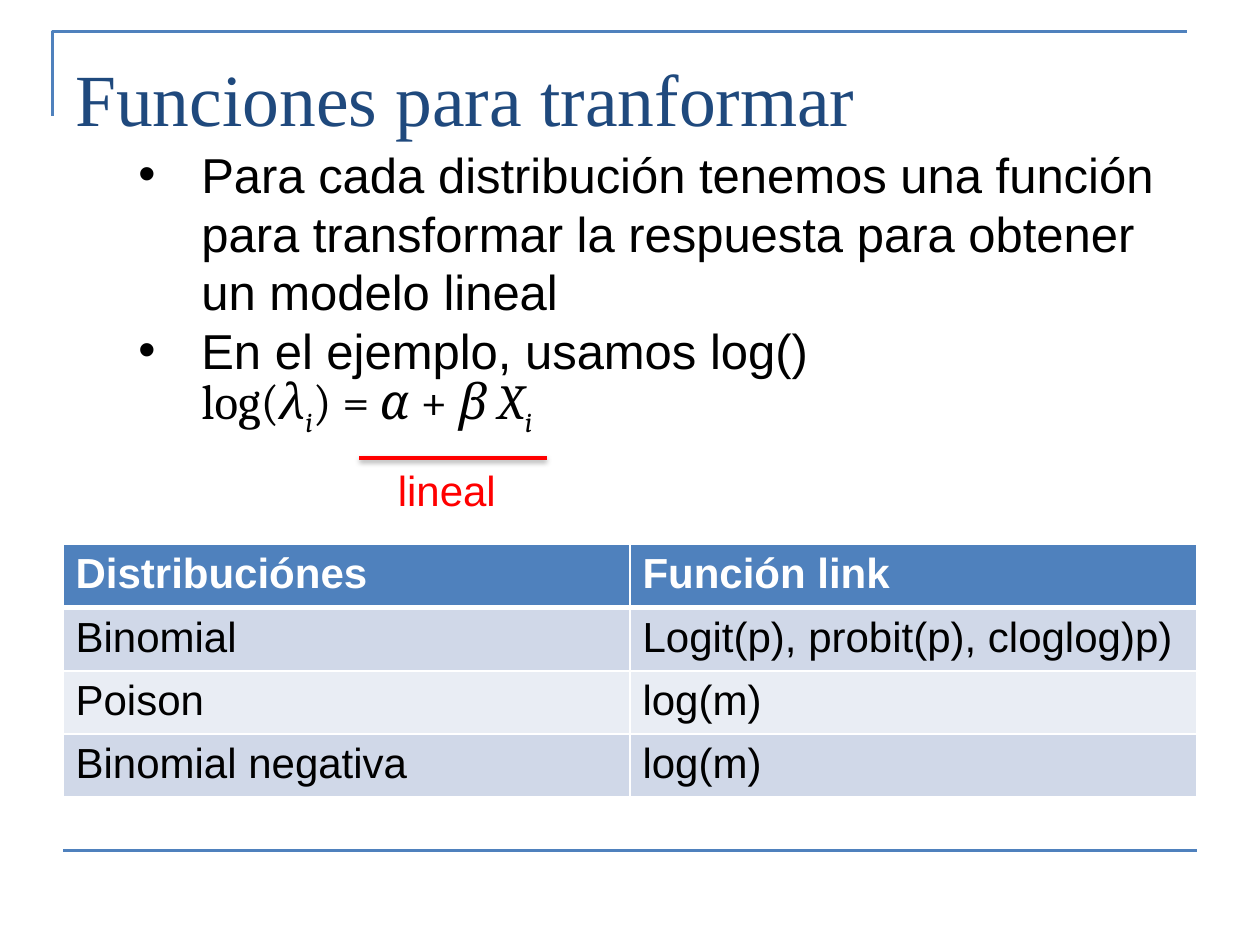
import pptx
import pptx.dml.color
import pptx.enum.shapes
import pptx.enum.text
import pptx.oxml
import pptx.oxml.ns
import pptx.util

Cm = pptx.util.Cm
Pt = pptx.util.Pt
RGBColor = pptx.dml.color.RGBColor

BLUE = RGBColor(0x4F, 0x81, 0xBD)
NAVY = RGBColor(0x1F, 0x49, 0x7D)
RED = RGBColor(0xFF, 0x00, 0x00)
BLACK = RGBColor(0x00, 0x00, 0x00)
WHITE = RGBColor(0xFF, 0xFF, 0xFF)
BAND_DARK = RGBColor(0xD0, 0xD8, 0xE8)
BAND_LIGHT = RGBColor(0xE9, 0xED, 0xF4)

BULLETS = [
    "Para cada distribución tenemos una función para transformar "
    "la respuesta para obtener un modelo lineal",
    "En el ejemplo, usamos log()",
]
FORMULA = [
    ("log(", {}),
    ("λ", {"italic": True}),
    ("i", {"italic": True, "subscript": True}),
    (") =", {}),
    (" α", {"italic": True}),
    (" + ", {}),
    ("β X", {"italic": True}),
    ("i", {"italic": True, "subscript": True}),
]
LINKS = [
    ("Distribuciónes", "Función link"),
    ("Binomial", "Logit(p), probit(p), cloglog)p)"),
    ("Poison", "log(m)"),
    ("Binomial negativa", "log(m)"),
]


def element(xml):
    """Return a DrawingML element parsed from a short fragment."""
    head, mark, rest = xml.partition("/>" if xml.endswith("/>") and xml.count("<") == 1 else ">")
    return pptx.oxml.parse_xml(f"{head} {pptx.oxml.ns.nsdecls('a')}{mark}{rest}")


def write(paragraph, text, size=24, font="Arial", color=BLACK, bold=False,
          italic=False, subscript=False):
    """Add a formatted run to a paragraph."""
    run = paragraph.add_run()
    run.text = text
    run.font.size = Pt(size)
    run.font.name = font
    run.font.color.rgb = color
    run.font.bold = bold
    run.font.italic = italic
    if subscript:
        run.font._element.set("baseline", "-25000")


def add_frame(slide, left, top, width, height, wrap=True):
    """Add a text box and return its text frame."""
    frame = slide.shapes.add_textbox(Cm(left), Cm(top), Cm(width), Cm(height)).text_frame
    frame.word_wrap = wrap
    frame.vertical_anchor = pptx.enum.text.MSO_ANCHOR.TOP
    return frame


def add_rule(slide, left, top, width, color, weight, effects="<a:effectLst/>"):
    """Draw a horizontal line."""
    rule = slide.shapes.add_connector(
        pptx.enum.shapes.MSO_CONNECTOR.STRAIGHT, Cm(left), Cm(top), Cm(left + width), Cm(top))
    rule.line.color.rgb = color
    rule.line.width = Pt(weight)
    rule._element.spPr.append(element(effects))


def add_corner(slide, left, top, width, height):
    """Draw the open corner around the title."""
    builder = slide.shapes.build_freeform(Cm(left), Cm(top + height))
    builder.add_line_segments(
        [(Cm(left), Cm(top)), (Cm(left + width), Cm(top))], close=False)
    corner = builder.convert_to_shape()
    corner.shadow.inherit = False
    corner.fill.background()
    corner.line.color.rgb = BLUE
    corner.line.width = Pt(1.5)


def add_title(slide, left, top, width, height):
    """Write the slide title."""
    frame = add_frame(slide, left, top, width, height)
    frame.margin_top = Cm(0.3)
    write(frame.paragraphs[0], "Funciones para tranformar",
          size=42, font="Times New Roman", color=NAVY)


def add_explanation(slide, left, top, width, height):
    """Write the bullets and the formula below them."""
    frame = add_frame(slide, left, top, width, height)
    lines = [[(bullet, {})] for bullet in BULLETS] + [FORMULA]
    for index, runs in enumerate(lines):
        paragraph = frame.add_paragraph() if index else frame.paragraphs[0]
        paragraph.line_spacing = Pt(33.5)
        properties = paragraph._p.get_or_add_pPr()
        is_formula = runs is FORMULA
        properties.set("marL", str(Cm(2.54)))
        properties.set("indent", str(0 if is_formula else -Cm(1.27)))
        if not is_formula:
            properties.append(element('<a:buFont typeface="Arial"/>'))
            properties.append(element('<a:buChar char="•"/>'))
        for text, style in runs:
            write(paragraph, text, size=28,
                  font="Cambria" if is_formula else "Arial", **style)


def add_linear_mark(slide, left, top, width):
    """Underline the linear part of the formula and label it."""
    frame = add_frame(slide, left + 0.53, top, 2.51, 1.27, wrap=False)
    write(frame.paragraphs[0], "lineal", color=RED)
    shadow = (f'<a:effectLst><a:outerShdw blurRad="{Pt(3.1)}" dist="{Pt(1.6)}" dir="5400000">'
              '<a:srgbClr val="000000"><a:alpha val="38000"/></a:srgbClr>'
              '</a:outerShdw></a:effectLst>')
    add_rule(slide, left, top, width, RED, 2, shadow)


def set_borders(cell, **weights):
    """Give a cell white borders of the given weights."""
    properties = cell._tc.get_or_add_tcPr()
    for index, side in enumerate("LRTB"):
        properties.insert(index, element(
            f'<a:ln{side} w="{Pt(weights.get(side, 1))}"><a:solidFill>'
            f'<a:srgbClr val="{WHITE}"/></a:solidFill></a:ln{side}>'))


def add_link_table(slide, left, top, width, row_height):
    """Add the table of distributions and link functions."""
    table = slide.shapes.add_table(
        len(LINKS), 2, Cm(left), Cm(top), Cm(width), Cm(row_height * len(LINKS))).table
    for row, texts in enumerate(LINKS):
        is_header = row == 0
        fill = BLUE if is_header else BAND_DARK if row % 2 else BAND_LIGHT
        for column, text in enumerate(texts):
            cell = table.cell(row, column)
            cell.fill.solid()
            cell.fill.fore_color.rgb = fill
            set_borders(cell, T=3 if row == 1 else 1, B=3 if is_header else 1)
            write(cell.text_frame.paragraphs[0], text,
                  color=WHITE if is_header else BLACK, bold=is_header)


def main():
    """Build and save the slide."""
    deck = pptx.Presentation()
    deck.slide_width, deck.slide_height = Cm(25.4), Cm(19.05)
    slide = deck.slides.add_slide(deck.slide_layouts[6])
    margin, width = 1.27, 22.86
    add_corner(slide, 1.06, 0.63, width, 1.7)
    add_rule(slide, margin, 17.15, width, BLUE, 1.5)
    add_title(slide, margin, 0.76, width, 3.18)
    add_link_table(slide, margin, 10.98, width, 1.04)
    add_explanation(slide, margin, 2.79, 22.5, 11.43)
    add_linear_mark(slide, 7.24, 9.23, 3.78)
    deck.save("out.pptx")


if __name__ == "__main__":
    main()
